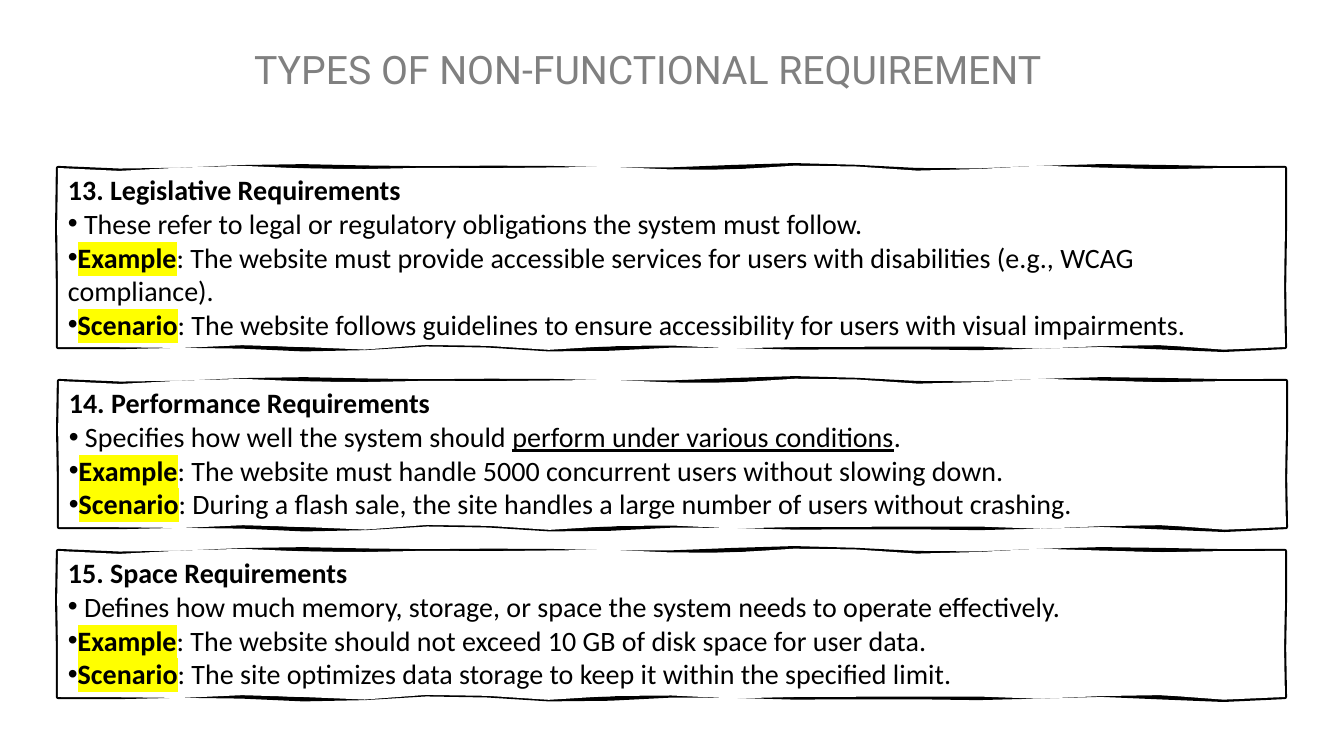
from dataclasses import dataclass
from math import pi, sin

from lxml import etree
from pptx import Presentation
from pptx.dml.color import RGBColor
from pptx.enum.text import MSO_ANCHOR, MSO_AUTO_SIZE, PP_ALIGN
from pptx.oxml.ns import qn
from pptx.util import Pt

LEFT = PP_ALIGN.LEFT
TOP, MIDDLE = MSO_ANCHOR.TOP, MSO_ANCHOR.MIDDLE
GROW, FIXED = MSO_AUTO_SIZE.SHAPE_TO_FIT_TEXT, MSO_AUTO_SIZE.NONE

SLIDE_WIDTH, SLIDE_HEIGHT = 1344, 756
EMU_PER_PX = 12192000 / SLIDE_WIDTH
TITLE_ONLY = 5


@dataclass(frozen=True)
class Theme:
    title_font: str = "Roboto"
    body_font: str = "Calibri"
    title_size: int = 28
    body_size: int = 20
    outline: int = 3
    title: str = "808080"
    ink: str = "000000"
    paper: str = "FFFFFF"
    marker: str = "FFFF00"


THEME = Theme()

TITLE = " TYPES OF NON-FUNCTIONAL REQUIREMENT"
TITLE_BOX = (235, 25, 907, 93)

REQUIREMENTS = [
    (
        (58, 168, 1227, 179),
        "13. Legislative Requirements",
        [(" These refer to legal or regulatory obligations the system must follow.", False)],
        ": The website must provide accessible services for users with disabilities (e.g., WCAG compliance).",
        ": The website follows guidelines to ensure accessibility for users with visual impairments.",
    ),
    (
        (59, 381, 1227, 146),
        "14. Performance Requirements",
        [
            (" Specifies how well the system should ", False),
            ("perform under various conditions", True),
            (".", False),
        ],
        ": The website must handle 5000 concurrent users without slowing down.",
        ": During a flash sale, the site handles a large number of users without crashing.",
    ),
    (
        (58, 551, 1227, 146),
        "15. Space Requirements",
        [(" Defines how much memory, storage, or space the system needs to operate effectively.", False)],
        ": The website should not exceed 10 GB of disk space for user data.",
        ": The site optimizes data storage to keep it within the specified limit.",
    ),
]


def px(value):
    return round(value * EMU_PER_PX)


def rgb(code):
    return RGBColor.from_string(code)


def place(shape, box):
    shape.left, shape.top, shape.width, shape.height = map(px, box)


def add_span(para, text, font_name, size, color, bold=False, underline=False, marker=None):
    span = para.add_run()
    span.text = text
    span.font.size = Pt(size)
    span.font.bold = bold
    span.font.underline = underline
    span.font.color.rgb = rgb(color)
    if marker:
        highlight = etree.Element(qn("a:highlight"))
        etree.SubElement(highlight, qn("a:srgbClr"), val=marker)
        span.font._element.find(qn("a:solidFill")).addnext(highlight)
    span.font.name = font_name


def add_body_span(para, text, **style):
    add_span(para, text, THEME.body_font, THEME.body_size, THEME.ink, **style)


def add_bullet(frame):
    para = frame.add_paragraph()
    para.alignment = LEFT
    properties = para._p.get_or_add_pPr()
    properties.set("marL", "0")
    properties.set("indent", "0")
    etree.SubElement(properties, qn("a:buFont"), typeface="Arial")
    etree.SubElement(properties, qn("a:buChar"), char="•")
    return para


def wavy_edge(start, end, waves, swing, steps):
    (x1, y1), (x2, y2) = start, end
    points = []
    for step in range(steps):
        part = step / steps
        offset = swing * (sin(pi * waves * part) + sin(pi * (waves + 3) * part)) / 2
        across, down = (0, offset) if y1 == y2 else (offset, 0)
        points.append((px(x1 + (x2 - x1) * part + across), px(y1 + (y2 - y1) * part + down)))
    return points


def wavy_outline(box, waves):
    left, top, width, height = box
    right, bottom = left + width, top + height
    corners = [(left, top), (right, top), (right, bottom), (left, bottom)]
    points = []
    for index, corner in enumerate(corners):
        following = corners[(index + 1) % 4]
        if index % 2 == 0:
            points += wavy_edge(corner, following, waves + index, 3, 20)
        else:
            points += wavy_edge(corner, following, 2, 1, 3)
    return points


def add_sketched_box(page, box):
    stroke, paper = wavy_outline(box, 6), wavy_outline(box, 9)
    builder = page.shapes.build_freeform(*stroke[0], scale=1.0)
    builder.add_line_segments(stroke[1:], close=True)
    builder.move_to(*paper[0])
    builder.add_line_segments(paper[1:], close=True)
    shape = builder.convert_to_shape()

    left, top, width, height = map(px, box)
    outline = next(shape._element.iter(qn("a:path")))
    for point in outline.iter(qn("a:pt")):
        point.set("x", str(int(point.get("x")) + shape.left - left))
        point.set("y", str(int(point.get("y")) + shape.top - top))
    outline.set("w", str(width))
    outline.set("h", str(height))
    place(shape, box)

    filling = etree.Element(qn("a:path"), w=str(width), h=str(height), stroke="0")
    second_start = outline.findall(qn("a:moveTo"))[1]
    for segment in list(outline)[outline.index(second_start):]:
        filling.append(segment)
    outline.set("fill", "none")
    outline.addnext(filling)

    shape.shadow.inherit = False
    shape.fill.solid()
    shape.fill.fore_color.rgb = rgb(THEME.paper)
    shape.line.color.rgb = rgb(THEME.ink)
    shape.line.width = Pt(THEME.outline)
    return shape


def add_title(page, box):
    title = page.shapes.title
    place(title, box)
    frame = title.text_frame
    frame.word_wrap = True
    frame.auto_size = FIXED
    frame.vertical_anchor = MIDDLE
    para = frame.paragraphs[0]
    para.alignment = LEFT
    para.line_spacing = 0.9
    add_span(para, TITLE, THEME.title_font, THEME.title_size, THEME.title)


def add_requirement(page, box, heading, summary, example, scenario):
    frame = add_sketched_box(page, box).text_frame
    frame.word_wrap = True
    frame.auto_size = GROW
    frame.vertical_anchor = TOP
    para = frame.paragraphs[0]
    para.alignment = LEFT
    add_body_span(para, heading, bold=True)
    para = add_bullet(frame)
    for text, underline in summary:
        add_body_span(para, text, underline=underline)
    for label, text in (("Example", example), ("Scenario", scenario)):
        para = add_bullet(frame)
        add_body_span(para, label, bold=True, marker=THEME.marker)
        add_body_span(para, text)


def main():
    deck = Presentation()
    deck.slide_width, deck.slide_height = px(SLIDE_WIDTH), px(SLIDE_HEIGHT)
    page = deck.slides.add_slide(deck.slide_layouts[TITLE_ONLY])
    add_title(page, TITLE_BOX)
    for requirement in REQUIREMENTS:
        add_requirement(page, *requirement)
    deck.save("out.pptx")


if __name__ == "__main__":
    main()
